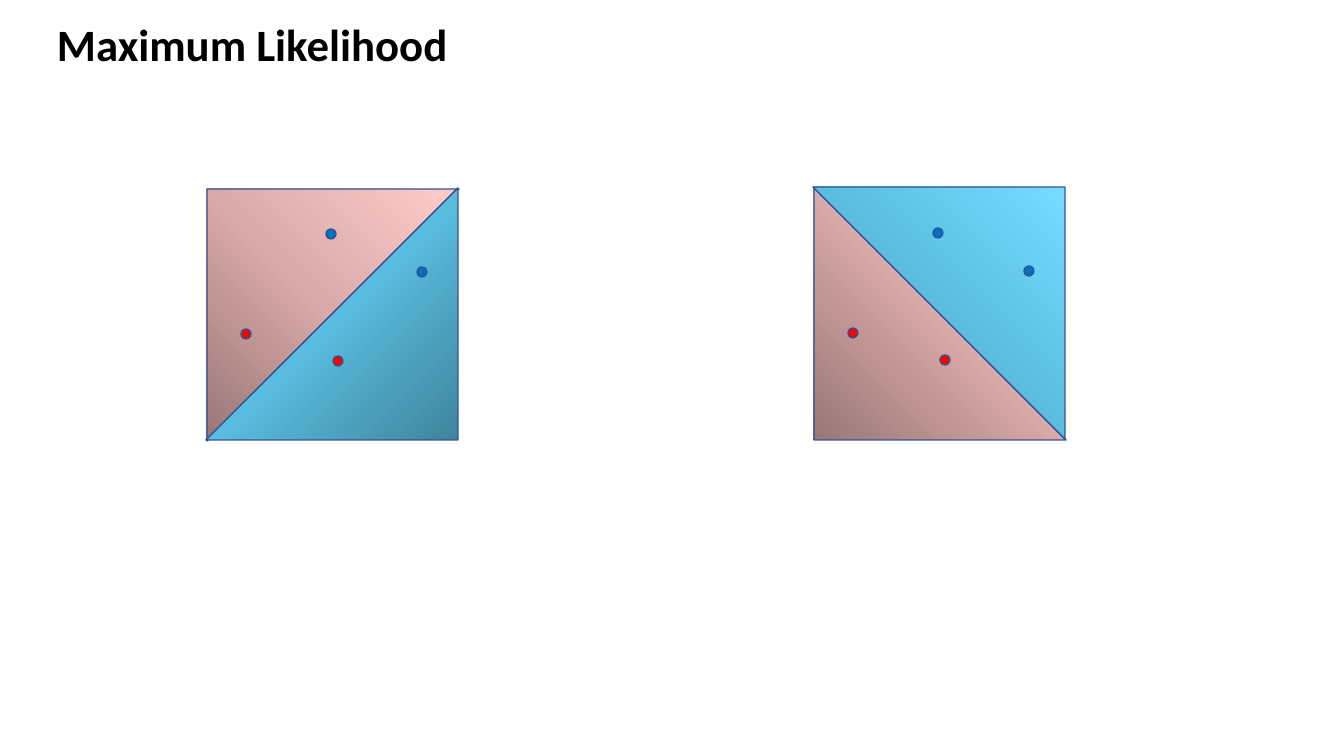
from lxml import etree
from pptx import Presentation, util as u
from pptx.dml.color import RGBColor
from pptx.enum import shapes, text
from pptx.oxml import ns

SCALE = 914400 / 100.8
SIDE, DOT = 252, 10
OUTLINE, BLUE, RED = "325491", "0070C0", "FF0000"
PINK_STOPS = ("997777", "DAA9A9", "FFCCCC")
SKY_STOPS = ("3F859D", "5ABDE0", "75DBFF")
FROM_CORNER = ('<a:path path="circle"><a:fillToRect t="100000" r="100000"/>'
               '</a:path>')
DIAGONAL = '<a:lin ang="18900000" scaled="1"/>'
# Offsets of the sample points from the corner of their square
POINTS = [(211, 79, BLUE), (120, 41, BLUE), (127, 168, RED), (35, 141, RED)]


def px(length):
    return u.Emu(round(length * SCALE))


def color(value):
    return RGBColor.from_string(value)


def add_outlined(page, kind, left, top, size, rotation=0):
    shape = page.shapes.add_shape(kind, px(left), px(top), px(size), px(size))
    shape.rotation = rotation
    shape.shadow.inherit = False
    shape.line.color.rgb = color(OUTLINE)
    shape.line.width = u.Pt(1)
    return shape


def add_triangle(page, left, top, rotation, stops, shading, turns):
    """Add a half square; turns tells if the gradient rotates with it."""
    shape = add_outlined(page, shapes.MSO_SHAPE.RIGHT_TRIANGLE,
                         left, top, SIDE, rotation)
    marks = "".join(
        f'<a:gs pos="{index * 50000}"><a:srgbClr val="{stop}"/></a:gs>'
        for index, stop in enumerate(stops))
    gradient = etree.fromstring(
        f'<a:gradFill {ns.nsdecls("a")} rotWithShape="{int(turns)}">'
        f'<a:gsLst>{marks}</a:gsLst>{shading}</a:gradFill>')
    shape.element.spPr.find(ns.qn("a:prstGeom")).addnext(gradient)


def add_points(page, left, top):
    for x, y, fill in POINTS:
        dot = add_outlined(page, shapes.MSO_SHAPE.FLOWCHART_CONNECTOR,
                           left + x, top + y, DOT)
        dot.fill.solid()
        dot.fill.fore_color.rgb = color(fill)


def add_title(page, wording):
    box = page.shapes.add_textbox(px(47), px(12), px(414), px(64))
    frame = box.text_frame
    frame.word_wrap = False
    frame.auto_size = text.MSO_AUTO_SIZE.SHAPE_TO_FIT_TEXT
    para = frame.paragraphs[0]
    para.text = wording
    para.font.name = "Calibri"
    para.font.size = u.Pt(32)
    para.font.bold = True
    para.font.color.rgb = color("000000")


def main():
    deck = Presentation()
    deck.slide_width, deck.slide_height = px(1344), px(756)
    page = deck.slides.add_slide(deck.slide_layouts[6])
    add_title(page, "Maximum Likelihood")

    add_triangle(page, 207, 189, 90, PINK_STOPS, FROM_CORNER, False)
    add_triangle(page, 206, 188, 270, SKY_STOPS, DIAGONAL, True)
    add_points(page, 206, 188)

    add_triangle(page, 814, 188, 0, PINK_STOPS, FROM_CORNER, False)
    add_triangle(page, 813, 187, 180, SKY_STOPS, FROM_CORNER, False)
    add_points(page, 813, 187)
    deck.save("out.pptx")


if __name__ == "__main__":
    main()
